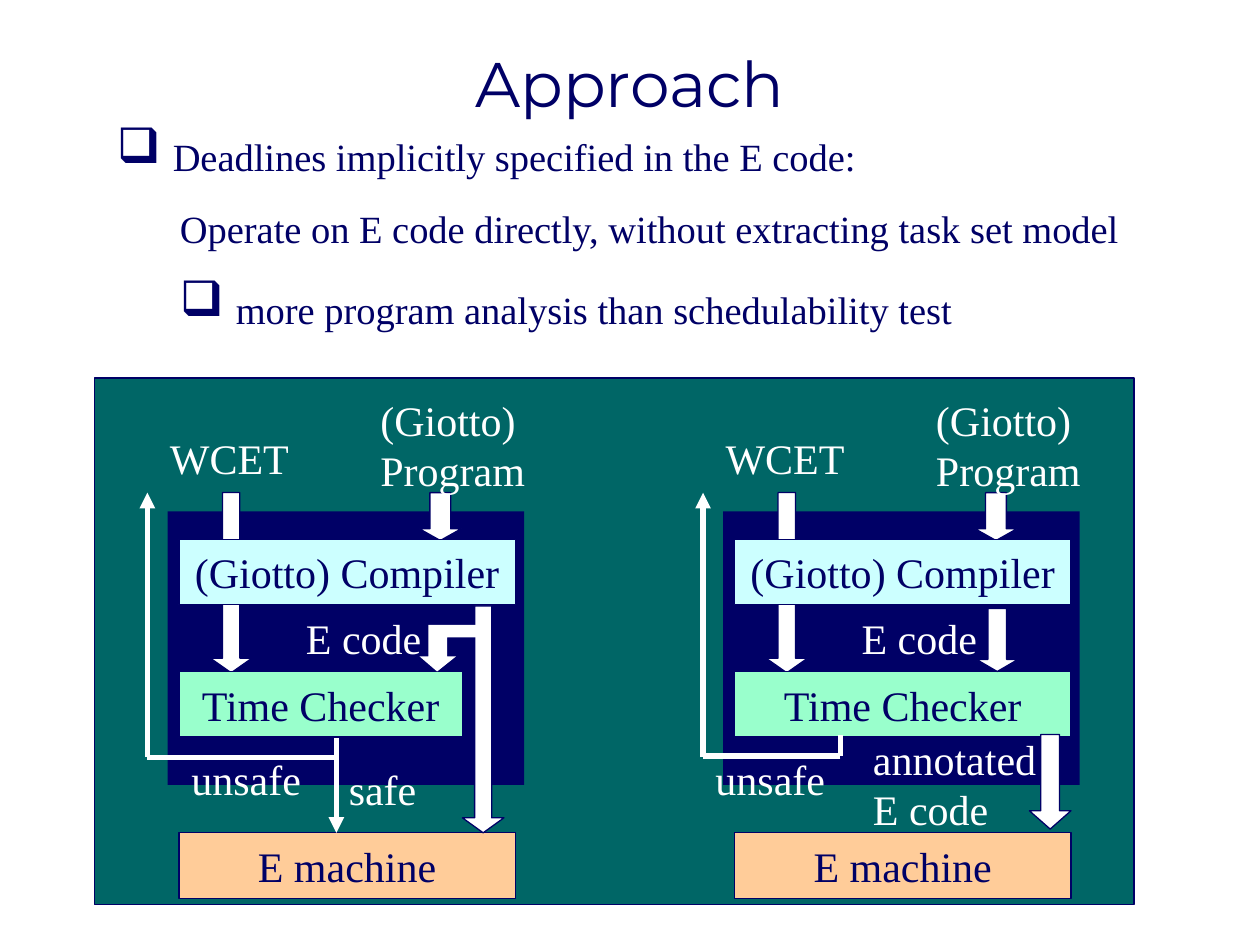
from lxml.etree import SubElement
from pptx import Presentation
from pptx.dml.color import RGBColor
from pptx.enum.shapes import MSO_CONNECTOR as LINK, MSO_SHAPE as SHAPE
from pptx.enum.text import MSO_ANCHOR as ANCHOR, MSO_AUTO_SIZE as FIT, PP_ALIGN as ALIGN
from pptx.oxml.ns import qn
from pptx.util import Inches, Pt

NAVY = RGBColor(0x00, 0x00, 0x66)
TEAL = RGBColor(0x00, 0x66, 0x66)
WHITE = RGBColor(0xFF, 0xFF, 0xFF)
MINT = RGBColor(0x99, 0xFF, 0xCC)
PEACH = RGBColor(0xFF, 0xCC, 0x99)
AQUA = RGBColor(0xCC, 0xFF, 0xFF)


def apply(item, **values):
    for name, value in values.items():
        setattr(item, name, value)


class Board:
    """Holds the text style and the slide being drawn."""

    def __init__(self, slide, font="Times New Roman", size=24):
        self.slide, self.font, self.size = slide, font, size
        self.shapes = slide.shapes

    def group(self):
        self.shapes = self.slide.shapes.add_group_shape().shapes

    def ungroup(self):
        self.shapes = self.slide.shapes

    def style(self, run, color, size=None, font=None):
        apply(run.font, name=font or self.font, size=Pt(size or self.size))
        run.font.color.rgb = color

    def letter(self, frame, text, color, align=ALIGN.LEFT, **look):
        frame.text = text
        for para in frame.paragraphs:
            para.alignment = align
            for run in para.runs:
                self.style(run, color, **look)

    def paint(self, shape, fill, edge=None):
        shape.shadow.inherit = False
        shape.fill.solid()
        shape.fill.fore_color.rgb = fill
        if edge is None:
            shape.line.fill.background()
        else:
            shape.line.color.rgb = edge
            shape.line.width = Pt(0.75)

    def block(self, at, fill, text="", edge=NAVY):
        shape = self.shapes.add_shape(SHAPE.RECTANGLE, *map(Inches, at))
        self.paint(shape, fill, edge)
        if text:
            apply(shape.text_frame, word_wrap=False, vertical_anchor=ANCHOR.MIDDLE)
            self.letter(shape.text_frame, text, NAVY, ALIGN.CENTER)

    def label(self, at, text, color=WHITE, anchor=ANCHOR.TOP, **look):
        frame = self.shapes.add_textbox(*map(Inches, at)).text_frame
        apply(frame, word_wrap=True, auto_size=FIT.SHAPE_TO_FIT_TEXT,
              vertical_anchor=anchor)
        self.letter(frame, text, color, **look)

    def points(self, at, items, size=22, mark=28):
        frame = self.shapes.add_textbox(*map(Inches, at)).text_frame
        apply(frame, word_wrap=True, auto_size=FIT.SHAPE_TO_FIT_TEXT)
        for index, (text, left, bullet) in enumerate(items):
            para = frame.add_paragraph() if index else frame.paragraphs[0]
            para.space_before = Pt(13.8)
            props = para._p.get_or_add_pPr()
            props.set("marL", str(Inches(left)))
            props.set("indent", "0")
            if bullet:
                tint = SubElement(props, qn("a:buClr"))
                SubElement(tint, qn("a:srgbClr")).set("val", str(NAVY))
                SubElement(props, qn("a:buChar")).set("char", "❑")
                self.add(para, " ", mark)
            self.add(para, text, size)

    def add(self, para, text, size):
        run = para.add_run()
        run.text = text
        self.style(run, NAVY, size)

    def arrow(self, left, top, height, stem, head):
        at = map(Inches, (left, top, 0.33, height))
        shape = self.shapes.add_shape(SHAPE.DOWN_ARROW, *at)
        shape.adjustments[0], shape.adjustments[1] = stem, head
        self.paint(shape, WHITE, NAVY)

    def elbow(self, *spots):
        start, *rest = [tuple(map(Inches, spot)) for spot in spots]
        outline = self.shapes.build_freeform(*start)
        outline.add_line_segments(rest, close=True)
        self.paint(outline.convert_to_shape(), WHITE)

    def line(self, *ends, tip=False):
        link = self.shapes.add_connector(LINK.STRAIGHT, *map(Inches, ends))
        link.line.color.rgb = WHITE
        link.line.width = Pt(3)
        if tip:
            stroke = link._element.spPr.find(qn("a:ln"))
            SubElement(stroke, qn("a:tailEnd")).set("type", "triangle")
        SubElement(link._element.spPr, qn("a:effectLst"))

    def flow(self, x, wide, unsafe):
        self.block((x + 0.16, 4.06, 2.83, 2.17), NAVY, edge=None)
        self.arrow(x + 0.5, 3.91, 1.43, 0.42, 0.35)
        self.block((x + 0.25, 5.33, wide, 0.52), MINT, "Time Checker")
        self.block((x + 0.25, 6.61, 2.67, 0.52), PEACH, "E machine")
        self.arrow(x + 2.16, 3.91, 0.38, 0.5, 0.28)
        self.block((x + 0.25, 4.28, 2.67, 0.52), AQUA, "(Giotto) Compiler")
        self.label((x + 1.16, 4.81, 1.17, 0.5), "E code")
        self.line(x, 6.01, x, 3.91, tip=True)
        self.label((x + 1.75, 3.08, 1.58, 0.9), "(Giotto)\nProgram")
        self.label((x + 0.08, 3.38, 1.25, 0.5), "WCET")
        self.label((unsafe, 5.93, 1.08, 0.5), "unsafe")


def main():
    deck = Presentation()
    apply(deck, slide_width=Inches(10), slide_height=Inches(7.5))
    board = Board(deck.slides.add_slide(deck.slide_layouts[6]))

    board.block((0.75, 3, 8.25, 4.18), TEAL)
    board.label((0.25, 0.3, 9.5, 0.7), "Approach", NAVY, ANCHOR.BOTTOM,
                align=ALIGN.CENTER, size=36, font="Montserrat")
    board.points((0.83, 0.92, 8.25, 1.79), [
        ("Deadlines implicitly specified in the E code:", 0, True),
        ("Operate on E code directly, without extracting task set model", 0.5, False),
        ("more program analysis than schedulability test", 0.5, True),
    ])

    board.group()
    board.flow(1.17, 2.25, 1.42)
    board.arrow(3.67, 4.81, 1.8, 0.41, 0.36)
    board.elbow((3.83, 5.06), (3.55, 5.06), (3.55, 5.21), (3.62, 5.21), (3.47, 5.33),
                (3.33, 5.21), (3.4, 5.21), (3.4, 4.96), (3.83, 4.96))
    board.line(2.67, 5.86, 2.67, 6.61, tip=True)
    board.label((2.67, 6.01, 0.83, 0.5), "safe")
    board.line(2.67, 6.01, 1.17, 6.01)

    board.ungroup()
    board.flow(5.58, 2.67, 5.58)
    board.arrow(7.75, 4.83, 0.5, 0.45, 0.29)
    board.line(6.67, 5.83, 6.67, 6)
    board.label((6.83, 5.77, 1.5, 0.9), "annotated\vE code")
    board.line(6.67, 6, 5.58, 6)
    board.arrow(8.17, 5.83, 0.75, 0.45, 0.44)

    deck.save("out.pptx")


if __name__ == "__main__":
    main()
